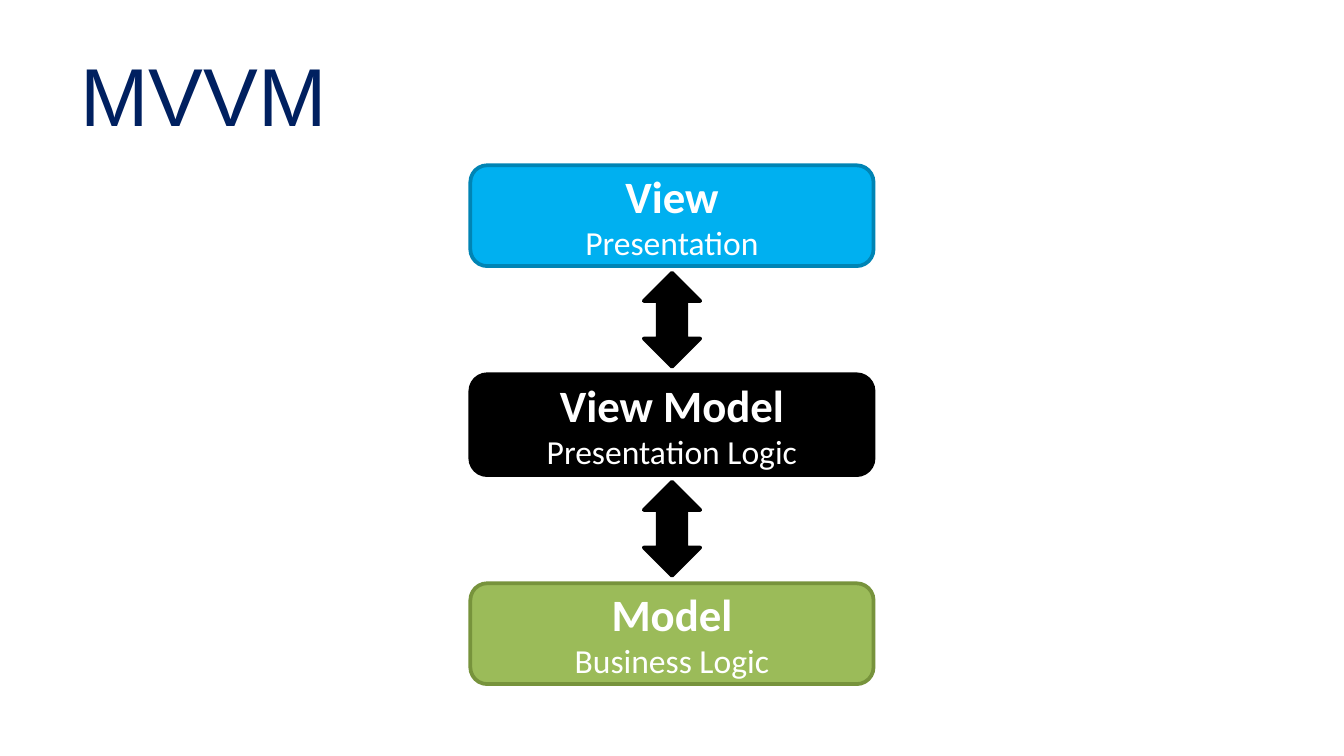
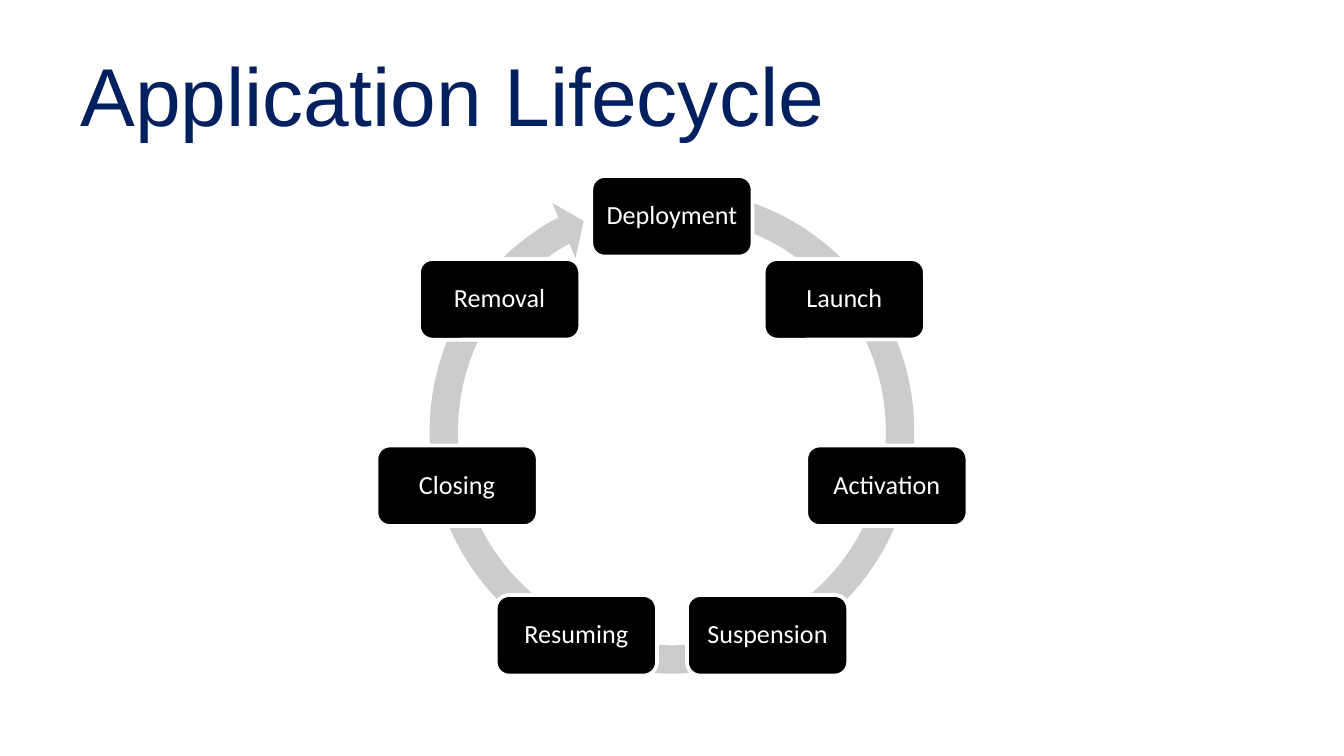
from math import cos, pi, sin

from pptx import Presentation
from pptx.dml.color import RGBColor
from pptx.enum.shapes import MSO_SHAPE
from pptx.enum.text import MSO_ANCHOR, PP_ALIGN
from pptx.util import Inches, Pt

W = 10
H = W * 9 / 16
NAVY, BLACK, WHITE, GREY = "002060", "000000", "FFFFFF", "CCCCCC"


def add_text(tf, lines, align, **para):
    tf.word_wrap = True
    tf.vertical_anchor = MSO_ANCHOR.MIDDLE
    for i, (text, color, fmt) in enumerate(lines):
        p = tf.paragraphs[0] if i == 0 else tf.add_paragraph()
        for name, value in {"alignment": align, **para}.items():
            setattr(p, name, value)
        r = p.add_run()
        r.text = text
        r.font.color.rgb = RGBColor.from_string(color)
        for name, value in fmt.items():
            setattr(r.font, name, value)


def add_box(s, kind, x, y, w, h, fill, line=None):
    sp = s.shapes.add_shape(kind, Inches(x), Inches(y), Inches(w), Inches(h))
    sp.shadow.inherit = False
    sp.fill.solid()
    sp.fill.fore_color.rgb = RGBColor.from_string(fill)
    if line:
        sp.line.color.rgb = RGBColor.from_string(line)
        sp.line.width = Pt(2)
    else:
        sp.line.fill.background()
    return sp


prs = Presentation()
prs.slide_width, prs.slide_height = Inches(W), Inches(H)

slides = []
for title in ("MVVM", "Application Lifecycle"):
    s = prs.slides.add_slide(prs.slide_layouts[6])
    tb = s.shapes.add_textbox(Inches(0.05 * W), Inches(0.23), Inches(0.9 * W), Inches(0.94))
    add_text(tb.text_frame, [(title, NAVY, {"name": "Arial", "size": Pt(44)})], PP_ALIGN.LEFT)
    slides.append(s)
mvvm, lifecycle = slides

layers = [
    ("View", "Presentation", "00B0F0", "0084B4"),
    ("View Model", "Presentation Logic", BLACK, BLACK),
    ("Model", "Business Logic", "9BBB59", "77933C"),
]
top, bottom, box_w, box_h = 1.23, 4.34, 0.3 * W, 0.75
row = (bottom - top) / (len(layers) - 1)
arrow_w, arrow_h = 0.42, 0.7
head = {"name": "Calibri", "size": Pt(24), "bold": True}
body = {"name": "Calibri", "size": Pt(18), "bold": False}

for i, (name, role, fill, line) in enumerate(layers):
    sp = add_box(mvvm, MSO_SHAPE.ROUNDED_RECTANGLE, (W - box_w) / 2, top + i * row,
                 box_w, box_h, fill, line)
    add_text(sp.text_frame, [(name, WHITE, head), (role, WHITE, body)], PP_ALIGN.CENTER)
for i in range(len(layers) - 1):
    add_box(mvvm, MSO_SHAPE.UP_DOWN_ARROW, (W - arrow_w) / 2, top + i * row + box_h + 0.05,
            arrow_w, arrow_h, BLACK, BLACK)

stages = ["Deployment", "Launch", "Activation", "Suspension", "Resuming", "Closing", "Removal"]
cx, cy, radius = W / 2, 3.25, 1.64
ring, stage_w, stage_h = 3.84, 1.2, 0.6
sp = add_box(lifecycle, MSO_SHAPE.CIRCULAR_ARROW, cx - ring / 2, 1.29, ring, ring, GREY)
for i, value in enumerate((0.055, 3.307, 145.041, 169.569, 0.058)):
    sp.adjustments[i] = value

label = {"name": "Calibri", "size": Pt(14)}
for i, stage in enumerate(stages):
    angle = 2 * pi * i / len(stages)
    sp = add_box(lifecycle, MSO_SHAPE.ROUNDED_RECTANGLE,
                 cx + radius * sin(angle) - stage_w / 2,
                 cy - radius * cos(angle) - stage_h / 2,
                 stage_w, stage_h, BLACK, WHITE)
    tf = sp.text_frame
    for side in ("left", "right", "top", "bottom"):
        setattr(tf, f"margin_{side}", Inches(0.06))
    add_text(tf, [(stage, WHITE, label)], PP_ALIGN.CENTER, line_spacing=0.9)

prs.save("out.pptx")
